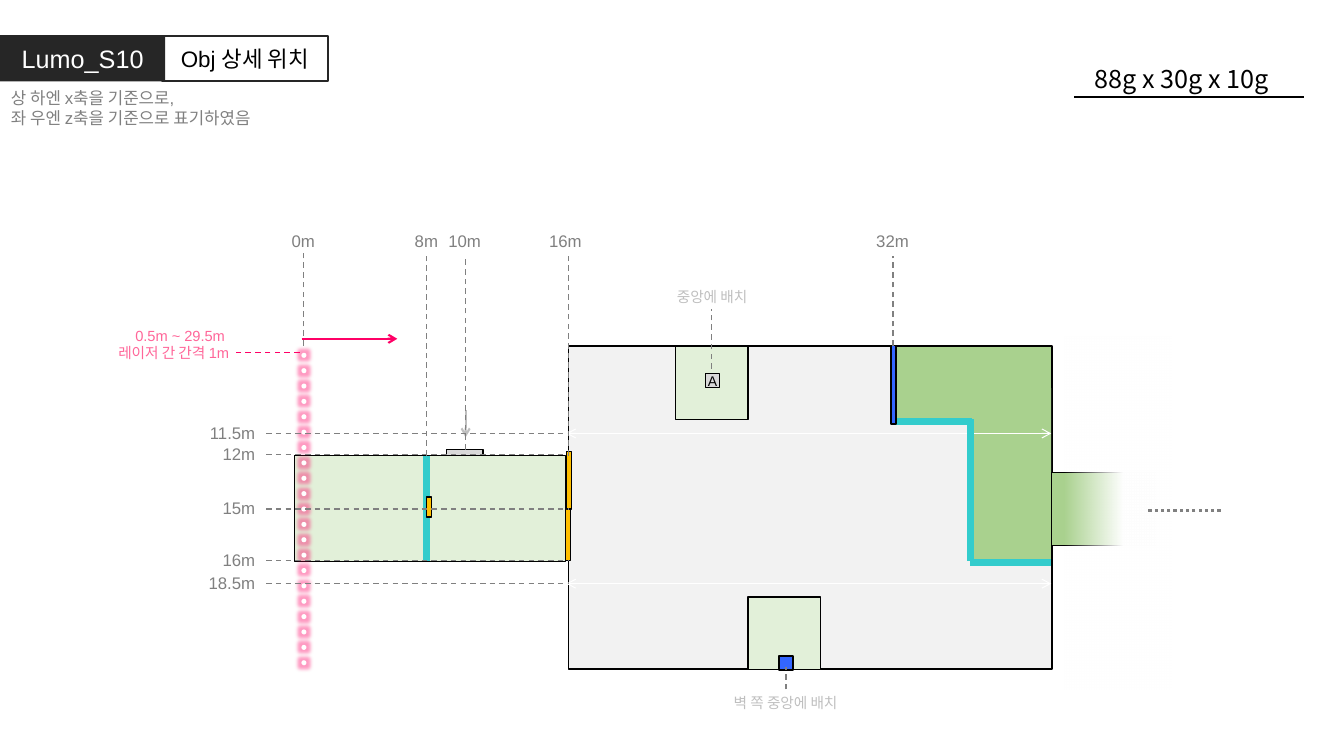
from lxml.etree import SubElement
from pptx import Presentation
from pptx.dml.color import RGBColor
from pptx.enum.dml import MSO_LINE
from pptx.enum.shapes import MSO_CONNECTOR, MSO_SHAPE
from pptx.enum.text import MSO_ANCHOR, PP_ALIGN
from pptx.oxml.ns import qn
from pptx.util import Pt

COLORS = {
    "black": "000000", "white": "FFFFFF", "dark": "262626", "grey": "808080",
    "silver": "BFBFBF", "panel": "D9D9D9", "floor": "F2F2F2", "pale": "E2F0D9",
    "green": "A9D18E", "teal": "33CCCC", "amber": "FFC000", "blue": "3366FF",
    "pink": "FF0066", "rose": "FF6699",
}
KOREAN = "Noto Sans CJK KR"
DASH, DOT = MSO_LINE.DASH, MSO_LINE.ROUND_DOT
LEFT, CENTER, RIGHT = PP_ALIGN.LEFT, PP_ALIGN.CENTER, PP_ALIGN.RIGHT


def rgb(name):
    return RGBColor.from_string(COLORS[name])


def apply(obj, values):
    for name, value in values.items():
        setattr(obj, name, value)


def write(sp, lines, size, color, align=CENTER, font="Arial", **frame):
    tf = sp.text_frame
    apply(tf, {"word_wrap": True, **frame})
    for i, line in enumerate(lines):
        p = tf.paragraphs[0] if i == 0 else tf.add_paragraph()
        p.alignment = align
        r = p.add_run()
        r.text = line
        apply(r.font, {"size": Pt(size), "name": font})
        r.font.color.rgb = rgb(color)
        SubElement(r.font._element, qn("a:ea"), typeface=KOREAN)


def label(s, x, y, w, h, lines, size=12, color="grey", align=CENTER, font="Arial"):
    sp = s.shapes.add_textbox(Pt(x), Pt(y), Pt(w), Pt(h))
    write(sp, lines, size, color, align, font)


def box(s, x, y, w, h, fill=None, line="black", width=1, kind=MSO_SHAPE.RECTANGLE):
    sp = s.shapes.add_shape(kind, Pt(x), Pt(y), Pt(w), Pt(h))
    sp.shadow.inherit = False
    if fill:
        sp.fill.solid()
        sp.fill.fore_color.rgb = rgb(fill)
    else:
        sp.fill.background()
    if line:
        sp.line.color.rgb = rgb(line)
        sp.line.width = Pt(width)
    else:
        sp.line.fill.background()
    return sp


def rule(s, x1, y1, x2, y2, color="grey", width=1, dash=None, ends=()):
    c = s.shapes.add_connector(MSO_CONNECTOR.STRAIGHT, Pt(x1), Pt(y1), Pt(x2), Pt(y2))
    c.line.color.rgb = rgb(color)
    apply(c.line, {"width": Pt(width), "dash_style": dash})
    for end in ends:
        SubElement(c.line._get_or_add_ln(), qn(f"a:{end}End"), type="arrow")
    SubElement(c._element.spPr, qn("a:effectLst"))


def header(s, x, y):
    tag = box(s, x, y, 118, 33, "dark", None)
    write(tag, ["Lumo_S10"], 18, "white", vertical_anchor=MSO_ANCHOR.MIDDLE)
    title = box(s, x + 116, y + 0.7, 118, 31.7, None, "dark", 1.5)
    write(title, ["Obj 상세 위치"], 16, "black", vertical_anchor=MSO_ANCHOR.MIDDLE)
    label(s, x + 0.7, y + 33.8, 228, 36,
          ["상 하엔 x축을 기준으로,", "좌 우엔 z축을 기준으로 표기하였음"], align=LEFT)


def map_size(s, x, y, w):
    rule(s, x, y + 27.4, x + w, y + 27.4, "black")
    label(s, x - 2.5, y, w - 6, 29, ["88g x 30g x 10g"], 18, "black", font=KOREAN)


def room(s, x, y, w, h):
    right = x + w
    box(s, x, y, w, h, "floor")
    # Niches
    for dx, dy in ((76.4, 0.7), (128.2, h - 51.5)):
        box(s, x + dx, y + dy, 52, 52, "pale")
    # Green zone
    box(s, right - 115.2, y + 0.7, 115.2, 52, "green")
    box(s, right - 57.5, y + 52.5, 57, 102, "green")
    box(s, right - 57, y + 30.2, 56.2, 102, "green", None)
    # Width arrows
    for dy in (62.6, 169.9):
        rule(s, x - 1.4, y + dy, right - 0.7, y + dy, "white", 0.75, ends=("head", "tail"))
    # Teal walls
    for x1, y1, x2, y2 in ((115.2, 54, 57.6, 54), (58.3, 52.5, 58.3, 154),
                           (59, 154.8, 0.7, 154.8)):
        rule(s, right - x1, y + y1, right - x2, y + y2, "teal", 4.5)
    # Exit tunnel fading out
    box(s, right - 0.7, y + 90.7, 74.2, 51.8, "green")
    fade = box(s, right + 8.6, y - 6.5, 76.3, 252, None, None)
    fade.fill.gradient()
    fade.fill.gradient_angle = 0
    for stop, position in zip(fade.fill.gradient_stops, (0, 0.55)):
        stop.color.rgb = rgb("white")
        stop.position = position
    clear = fade.fill.gradient_stops[0].color._xFill.find(qn("a:srgbClr"))
    SubElement(clear, qn("a:alpha"), val="0")
    rule(s, right + 120.2, y + 117.4, right + 66.9, y + 117.4, "grey", 2.25, DOT)
    # Objects with their notes
    box(s, x + 150.5, y + h - 9.4, 10, 10, "blue")
    box(s, right - 115.2, y, 3.6, 56, "blue")
    a = box(s, x + 98, y + 20, 10, 10, "panel")
    write(a, ["A"], 10, "black", vertical_anchor=MSO_ANCHOR.MIDDLE, word_wrap=False,
          margin_left=0, margin_right=0, margin_top=0, margin_bottom=0)
    rule(s, x + 102.2, y + 16.5, x + 102.2, y - 26, dash=DASH)
    label(s, x + 56.2, y - 44.6, 93, 20, ["중앙에 배치"], 10.5, "silver")
    rule(s, x + 155.5, y + h + 14.4, x + 155.5, y + h - 1.4, dash=DASH)
    label(s, x + 104.4, y + h + 14.4, 101.5, 20, ["벽 쪽 중앙에 배치"], 10.5, "silver")


def corridor(s, x, y, w, h):
    box(s, x, y, w, h, "pale")
    box(s, x + 108.8, y - 4.3, 26, 4.3, "panel")
    rule(s, x + 94.4, y, x + 94.4, y + h, "teal", 4.5)
    box(s, x + 94.4, y + 29.6, 3.6, 14.4, "amber")
    rule(s, x + 122.4, y - 32.4, x + 122.4, y - 13, "silver", 1.5, ends=("tail",))
    # Double door
    box(s, x + w, y + 33.9, 3.6, 41, "amber")
    box(s, x + w + 0.7, y - 2.8, 3.6, 41, "amber")


def lasers(s, x, y, h, count=21):
    size = 3.6
    for i in range(count):
        dot = box(s, x - size / 2, y + i * (h - size) / (count - 1), size, size,
                  "white", None, kind=MSO_SHAPE.OVAL)
        glow = SubElement(dot._element.spPr.find(qn("a:effectLst")), qn("a:glow"), rad="63500")
        tint = SubElement(glow, qn("a:srgbClr"), val=COLORS["pink"])
        SubElement(tint, qn("a:alpha"), val="40000")
    rule(s, x - 1.7, y - 10, x + 66.7, y - 10, "pink", 1.5, ends=("tail",))
    rule(s, x - 3.1, y, x - 51.4, y, "pink", 1, DASH)
    label(s, x - 172.4, y - 22.3, 126, 34,
          ["0.5m ~ 29.5m ", "레이저 간 간격 1m"], 10.5, "rose", RIGHT)


def distances(s, x, y):
    # Across: text, line offset, label offset, line bottom, line top
    for text, dx, shift, bottom, top in (
            ("0m", 0, 0, 85.7, 18.7), ("8m", 87.9, 0, 164.1, 21.6),
            ("10m", 115.9, -0.7, 159.8, 21.6), ("16m", 189.4, -2.2, 164.1, 21.6),
            ("32m", 421.2, -0.3, 85.7, 21.6)):
        rule(s, x + dx, y + bottom, x + dx, y + top, dash=DASH)
        label(s, x + dx + shift - 22, y, 44, 21.6, [text])
    # Down: text, line offset
    for text, dy in (("11.5m", 148.3), ("12m", 163.4), ("15m", 202.3),
                     ("16m", 239), ("18.5m", 255.6)):
        rule(s, x - 26.6, y + dy, x + 189.4, y + dy, dash=DASH)
        label(s, x - 98.7, y + dy - 11.3, 71.4, 21.6, [text], align=RIGHT)


prs = Presentation()
apply(prs, {"slide_width": Pt(960), "slide_height": Pt(540)})
s = prs.slides.add_slide(prs.slide_layouts[6])
header(s, 0, 25.2)
map_size(s, 767.5, 41.8, 164.2)
room(s, 406, 247, 345.6, 231)
corridor(s, 210.2, 325.4, 193.7, 75.6)
lasers(s, 217.1, 252, 223.2)
distances(s, 216.7, 161.3)
prs.save("out.pptx")
